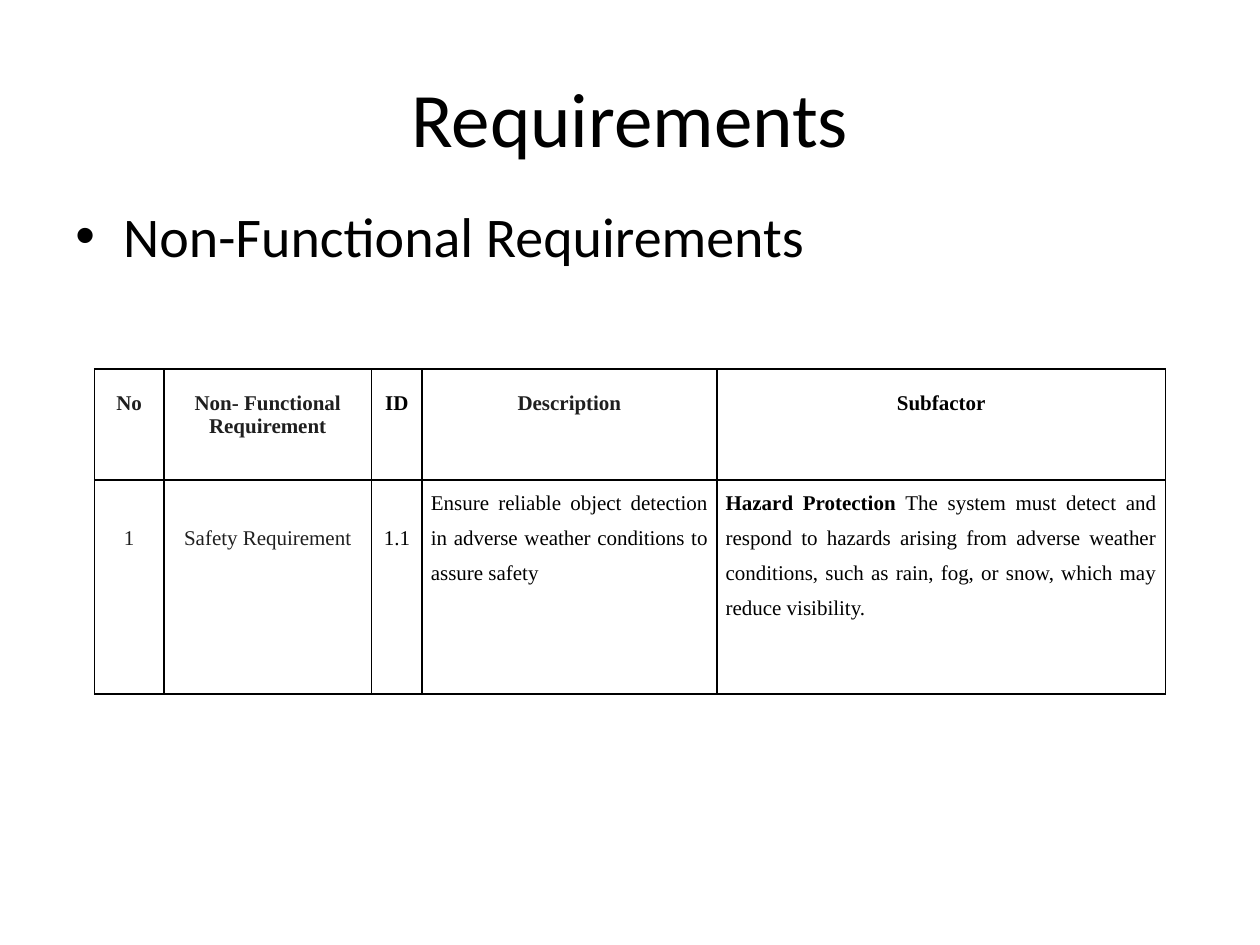
from lxml import etree
from pptx import Presentation
from pptx.dml.color import RGBColor
from pptx.enum.text import MSO_ANCHOR, PP_ALIGN
from pptx.oxml.ns import qn
from pptx.util import Inches, Pt

TITLE = "Requirements"
BULLET = "Non-Functional Requirements"
COLORS = {"black": "000000", "dark": "1F1F1F", "white": "FFFFFF"}

# Each cell is a list of (text, bold, colour) runs.
HEAD = [
    [("No", True, "dark")],
    [("Non- Functional Requirement", True, "dark")],
    [("ID", True, "black")],
    [("Description", True, "dark")],
    [("Subfactor", True, "black")],
]
BODY = [
    [("1", False, "dark")],
    [("Safety Requirement", False, "dark")],
    [("1.1", False, "black")],
    [("Ensure reliable object detection in adverse weather conditions "
      "to assure safety", False, "black")],
    [("Hazard Protection", True, "black"),
     (" The system must detect and respond to hazards arising from adverse "
      "weather conditions, such as rain, fog, or snow, which may reduce "
      "visibility.", False, "black")],
]
WIDTHS = [0.55, 1.65, 0.4, 2.34, 3.56]
HEIGHTS = [0.88, 1.7]
PROSE = 3  # first column holding justified text


def color(name):
    return RGBColor.from_string(COLORS[name])


def style(font, name, size, tone="black"):
    font.name, font.size = name, Pt(size)
    font.color.rgb = color(tone)


def add_borders(cell):
    props = cell._tc.get_or_add_tcPr()
    for side in ("a:lnL", "a:lnR", "a:lnT", "a:lnB"):
        line = etree.SubElement(props, qn(side), w=str(Pt(1)))
        fill = etree.SubElement(line, qn("a:solidFill"))
        etree.SubElement(fill, qn("a:srgbClr"), val=COLORS["black"])


def fill_cell(cell, runs, top, align, spacing):
    add_borders(cell)
    cell.fill.solid()
    cell.fill.fore_color.rgb = color("white")
    cell.margin_left = cell.margin_right = Inches(0.07)
    cell.margin_top, cell.margin_bottom = Inches(top), 0
    para = cell.text_frame.paragraphs[0]
    para.alignment, para.line_spacing = align, spacing
    for text, bold, tone in runs:
        run = para.add_run()
        run.text = text
        run.font.bold = bold
        style(run.font, "Times New Roman", 12, tone)


def add_title(slide):
    title = slide.shapes.title
    title.left, title.top = Inches(0.5), Inches(0.3)
    title.width, title.height = Inches(9), Inches(1.25)
    title.text_frame.text = TITLE
    title.text_frame.vertical_anchor = MSO_ANCHOR.MIDDLE
    para = title.text_frame.paragraphs[0]
    para.alignment = PP_ALIGN.CENTER
    style(para.font, "Calibri", 44)


def add_bullet(slide):
    box = slide.shapes.add_textbox(
        Inches(0.5), Inches(1.55), Inches(9), Inches(5.15))
    box.text_frame.word_wrap = True
    para = box.text_frame.paragraphs[0]
    para.text = BULLET
    props = para._p.get_or_add_pPr()
    indent = Inches(0.38)
    props.set("marL", str(indent))
    props.set("indent", str(-indent))
    etree.SubElement(props, qn("a:buFont"), typeface="Arial")
    etree.SubElement(props, qn("a:buChar"), char="•")
    style(para.font, "Calibri", 32)


def add_grid(slide):
    table = slide.shapes.add_table(
        2, len(WIDTHS), Inches(0.75), Inches(2.93),
        Inches(sum(WIDTHS)), Inches(sum(HEIGHTS))).table
    for row, height in zip(table.rows, HEIGHTS):
        row.height = Inches(height)
    for i, width in enumerate(WIDTHS):
        table.columns[i].width = Inches(width)
        fill_cell(table.cell(0, i), HEAD[i], 0.18, PP_ALIGN.CENTER, 1.0)
        prose = i >= PROSE
        fill_cell(table.cell(1, i), BODY[i], 0 if prose else 0.28,
                  PP_ALIGN.JUSTIFY if prose else PP_ALIGN.CENTER, 1.5)


def main():
    deck = Presentation()
    deck.slide_width, deck.slide_height = Inches(10), Inches(7.5)
    slide = deck.slides.add_slide(deck.slide_layouts[5])
    add_title(slide)
    add_bullet(slide)
    add_grid(slide)
    deck.save("out.pptx")


if __name__ == "__main__":
    main()
